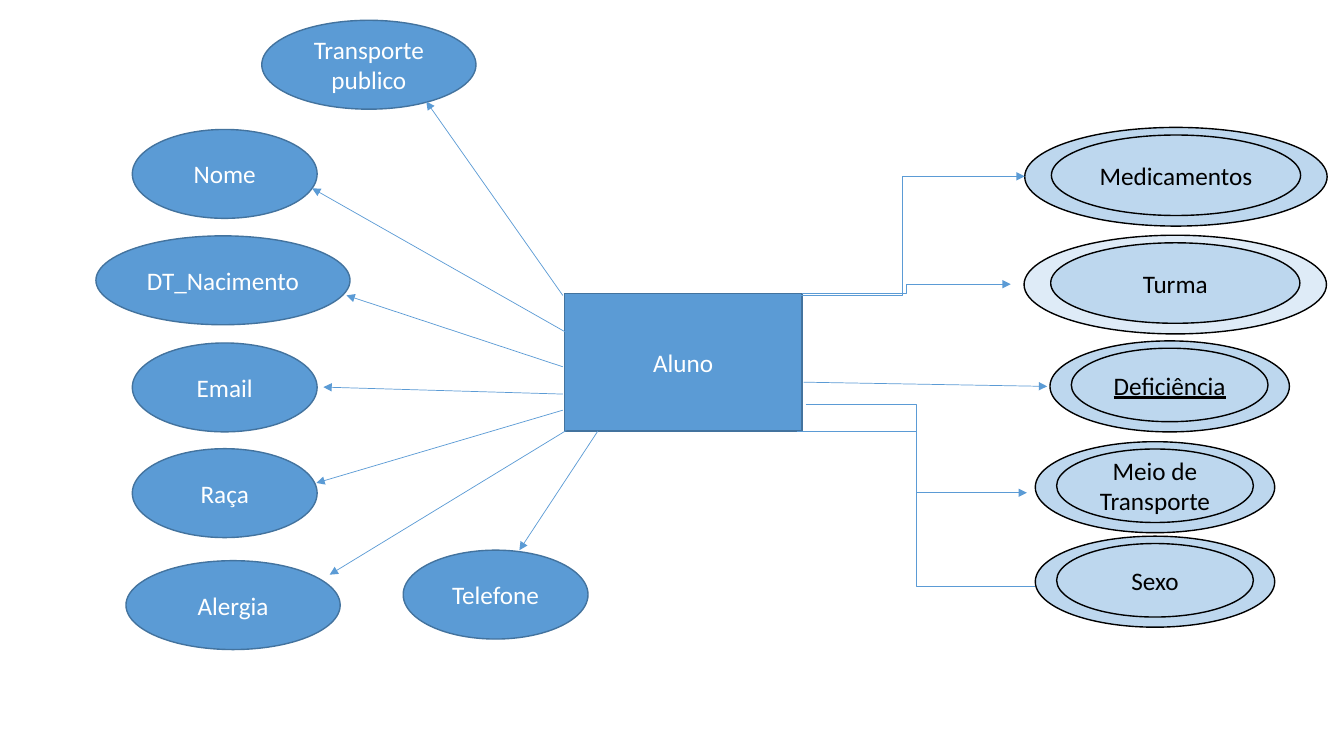
from lxml import etree
from pptx import Presentation
from pptx import util as u
from pptx.dml import color
from pptx.enum import shapes, text
from pptx.oxml import ns

Pt = u.Pt
THEME = {
    "blue": color.RGBColor(0x5B, 0x9B, 0xD5),
    "edge": color.RGBColor(0x43, 0x73, 0x9E),
    "light": color.RGBColor(0xBD, 0xD7, 0xEE),
    "pale": color.RGBColor(0xDE, 0xEB, 0xF7),
    "black": color.RGBColor(0, 0, 0),
    "white": color.RGBColor(255, 255, 255),
    "font": "Calibri",
    "size": Pt(18),
    "outline": Pt(1),
    "arrow": Pt(0.5),
}
OVAL = shapes.MSO_SHAPE.OVAL
STRAIGHT = shapes.MSO_CONNECTOR.STRAIGHT
ELBOW = shapes.MSO_CONNECTOR.ELBOW

presentation = Presentation()
presentation.slide_width, presentation.slide_height = Pt(960), Pt(540)
slide = presentation.slides.add_slide(presentation.slide_layouts[6])


def add_node(kind, box, fill, edge, label="", ink="white", underline=None):
    shape = slide.shapes.add_shape(kind, *map(Pt, box))
    shape.shadow.inherit = False
    shape.fill.solid()
    shape.fill.fore_color.rgb = THEME[fill]
    shape.line.color.rgb = THEME[edge]
    shape.line.width = THEME["outline"]
    if not label:
        return
    frame = shape.text_frame
    frame.word_wrap = True
    frame.vertical_anchor = text.MSO_ANCHOR.MIDDLE
    paragraph = frame.paragraphs[0]
    paragraph.alignment = text.PP_ALIGN.CENTER
    run = paragraph.add_run()
    run.text = label
    run.font.color.rgb = THEME[ink]
    formats = {"name": THEME["font"], "size": THEME["size"], "underline": underline}
    for name, value in formats.items():
        setattr(run.font, name, value)


def add_link(kind, ends, arrow=True):
    connector = slide.shapes.add_connector(kind, *map(Pt, ends))
    connector.line.color.rgb = THEME["blue"]
    connector.line.width = THEME["arrow"]
    if arrow:
        outline = connector.line._get_or_add_ln()
        etree.SubElement(outline, ns.qn("a:tailEnd"), type="triangle")
    etree.SubElement(connector._element.spPr, ns.qn("a:effectLst"))


add_node(shapes.MSO_SHAPE.RECTANGLE, (403, 209.5, 170, 98.5), "blue", "edge", "Aluno")

simple_attributes = [
    ("Transporte publico", 187, 14.5, 153),
    ("Nome", 94.5, 92.5, 132),
    ("DT_Nacimento", 68.5, 168.5, 181.5),
    ("Email", 94.5, 245, 132),
    ("Raça", 94.5, 320.5, 132),
    ("Alergia", 90, 400.5, 153),
    ("Telefone", 288, 393, 132),
]
for label, left, top, width in simple_attributes:
    add_node(OVAL, (left, top, width, 63.5), "blue", "edge", label)

large = (216, 70.5, 178, 57.5)
small = (171, 65, 140.5, 52.5)
multivalued_attributes = [
    ("Medicamentos", 732, 91, large, "light", None),
    ("Turma", 731.5, 168, large, "pale", None),
    ("Deficiência", 750, 243.5, small, "light", True),
    ("Meio de Transporte", 739.5, 315.5, small, "light", None),
    ("Sexo", 739.5, 383, small, "light", None),
]
for label, left, top, size, fill, underline in multivalued_attributes:
    width, height, inner_width, inner_height = size
    inner_left = left + (width - inner_width) / 2
    inner_top = top + (height - inner_height) * 0.42
    add_node(OVAL, (left, top, width, height), fill, "black")
    add_node(OVAL, (inner_left, inner_top, inner_width, inner_height),
             "light", "black", label, "black", underline)

straight_links = [
    (402, 211, 304.5, 72.5),
    (404.5, 237.5, 223, 134.5),
    (402, 262, 247.5, 211),
    (402, 281.5, 231, 276.5),
    (402, 293, 226, 345),
    (404.5, 307.5, 235.5, 410.5),
    (427, 308, 371, 393),
    (574, 273, 748, 276),
]
for ends in straight_links:
    add_link(STRAIGHT, ends)

elbow_links = [
    ((556.5, 211, 732, 126), True),
    ((573, 209.5, 722, 203), True),
    ((575.5, 288.5, 733.5, 352), True),
    ((569, 308, 739.5, 419), False),
]
for ends, arrow in elbow_links:
    add_link(ELBOW, ends, arrow)

presentation.save("out.pptx")
